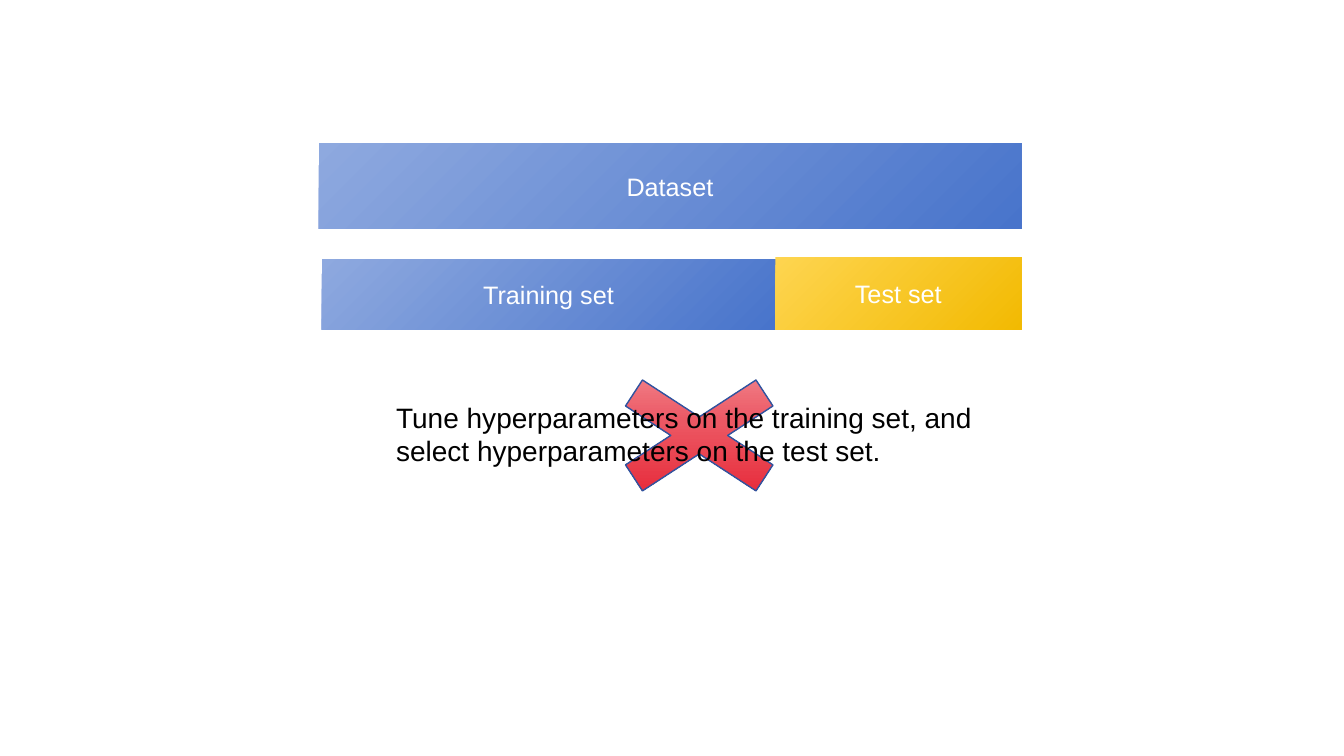
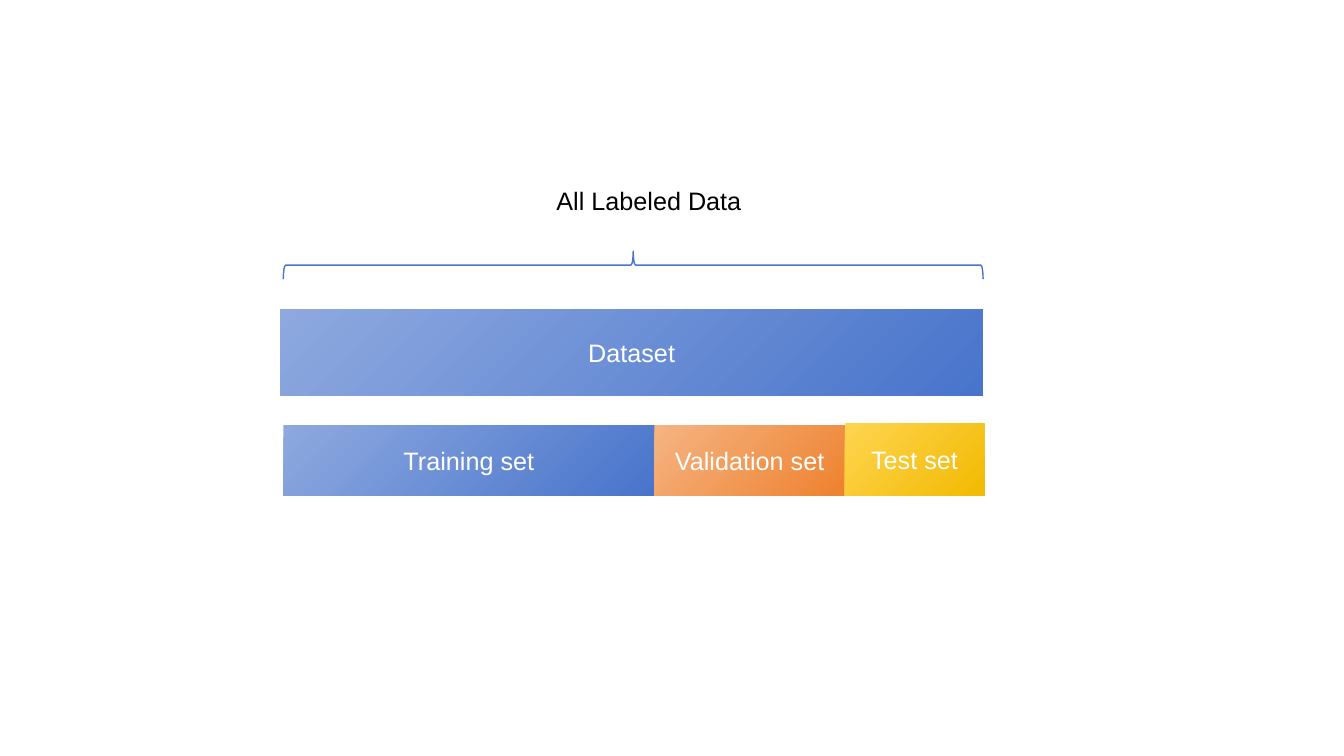
from copy import deepcopy
from dataclasses import dataclass

from pptx import Presentation
from pptx import util as u
from pptx.dml.color import RGBColor
from pptx.enum import shapes, text
from pptx.oxml.ns import qn

PX = 9144  # EMU in one px, 100 px to the inch


@dataclass(frozen=True)
class Theme:
    font: str = "Arial"
    label_size: int = 18
    note_size: int = 20
    black: str = "000000"
    white: str = "FFFFFF"
    brace: str = "4874CB"
    cross_outline: str = "2E54A1"
    blue: tuple = ((0, "8EA9DF"), (1, "4874CB"))
    yellow: tuple = ((0, "FED550"), (1, "F2BA02"))
    orange: tuple = ((0, "F5B482"), (1, "EE822F"))
    red: tuple = ((0, "F28F97"), (0.42, "EC5763"), (1, "E51E2E"))


THEME = Theme()
# Colour of each part, and how far it rises above its row
PARTS = {
    "Training set": (THEME.blue, 0),
    "Validation set": (THEME.orange, 0),
    "Test set": (THEME.yellow, 2),
}


def emu(box):
    return [u.Emu(round(length * PX)) for length in box]


def apply(target, values):
    for name, value in values.items():
        setattr(target, name, value)


def add_plain_shape(slide, kind, box):
    shape = slide.shapes.add_shape(kind, *emu(box))
    shape.shadow.inherit = False
    return shape


def fill_gradient(shape, stops, degrees):
    """Fill with any number of (position, colour) stops, turned clockwise."""
    shape.fill.gradient()
    shape.fill.gradient_angle = 360 - degrees
    stop_list = shape._element.spPr.find(".//" + qn("a:gsLst"))
    for _ in stops[2:]:
        stop_list.append(deepcopy(stop_list[-1]))
    for stop, (position, colour) in zip(shape.fill.gradient_stops, stops):
        stop.position = position
        stop.color.rgb = RGBColor.from_string(colour)


def set_outline(shape, colour):
    shape.line.color.rgb = RGBColor.from_string(colour)
    shape.line.width = u.Pt(1)


def write(shape, wording, size, colour, frame_format, alignment):
    apply(shape.text_frame, {"word_wrap": True, **frame_format})
    paragraph = shape.text_frame.paragraphs[0]
    paragraph.alignment = alignment
    run = paragraph.add_run()
    run.text = wording
    apply(run.font, {"name": THEME.font, "size": u.Pt(size)})
    run.font.color.rgb = RGBColor.from_string(colour)


def add_bar(slide, box, label, gradient):
    bar = add_plain_shape(slide, shapes.MSO_SHAPE.RECTANGLE, box)
    fill_gradient(bar, gradient, 45)
    bar.line.fill.background()
    write(bar, label, THEME.label_size, THEME.white,
          {"vertical_anchor": text.MSO_ANCHOR.MIDDLE}, text.PP_ALIGN.CENTER)


def add_split(slide, left, top, widths):
    """Draw the whole dataset, with the parts it is split into below it."""
    add_bar(slide, (left, top, 697, 85), "Dataset", THEME.blue)
    part_left, part_top = left + 3, top + 115
    for label, width in widths.items():
        gradient, rise = PARTS[label]
        box = (part_left, part_top - rise, width, 70 + rise)
        add_bar(slide, box, label, gradient)
        part_left += width


def add_note(slide, box, wording, size):
    note = slide.shapes.add_textbox(*emu(box))
    write(note, wording, size, THEME.black,
          {"auto_size": text.MSO_AUTO_SIZE.SHAPE_TO_FIT_TEXT},
          text.PP_ALIGN.LEFT)


def add_cross(slide, box):
    cross = add_plain_shape(slide, shapes.MSO_SHAPE.MATH_MULTIPLY, box)
    cross.adjustments[0] = 0.19
    fill_gradient(cross, THEME.red, 90)
    set_outline(cross, THEME.cross_outline)


def add_top_brace(slide, left, top, width, height):
    """Turn a left brace so that it spans the given box from above."""
    upright = (left + (width - height) / 2, top + (height - width) / 2,
               height, width)
    brace = add_plain_shape(slide, shapes.MSO_SHAPE.LEFT_BRACE, upright)
    brace.rotation = 90
    brace.adjustments[0] = 0.08
    brace.adjustments[1] = 0.5
    brace.fill.background()
    set_outline(brace, THEME.brace)


def build_two_way_split(slide):
    add_cross(slide, (569, 351, 249, 162))
    add_split(slide, 316, 142, {"Training set": 450, "Test set": 244})
    add_note(slide, (383, 392, 667, 77),
             "Tune hyperparameters on the training set, and select "
             "hyperparameters on the test set.", THEME.note_size)


def build_three_way_split(slide):
    add_split(slide, 278, 307, {"Training set": 368, "Validation set": 189,
                                "Test set": 138})
    add_top_brace(slide, 281, 249, 694, 28)
    add_note(slide, (542, 179, 667, 40), "All Labeled Data",
             THEME.label_size)


def main():
    presentation = Presentation()
    width, height = emu((1333, 750))
    apply(presentation, {"slide_width": width, "slide_height": height})
    blank_layout = presentation.slide_layouts[6]
    for build in (build_two_way_split, build_three_way_split):
        build(presentation.slides.add_slide(blank_layout))
    presentation.save("out.pptx")


if __name__ == "__main__":
    main()
